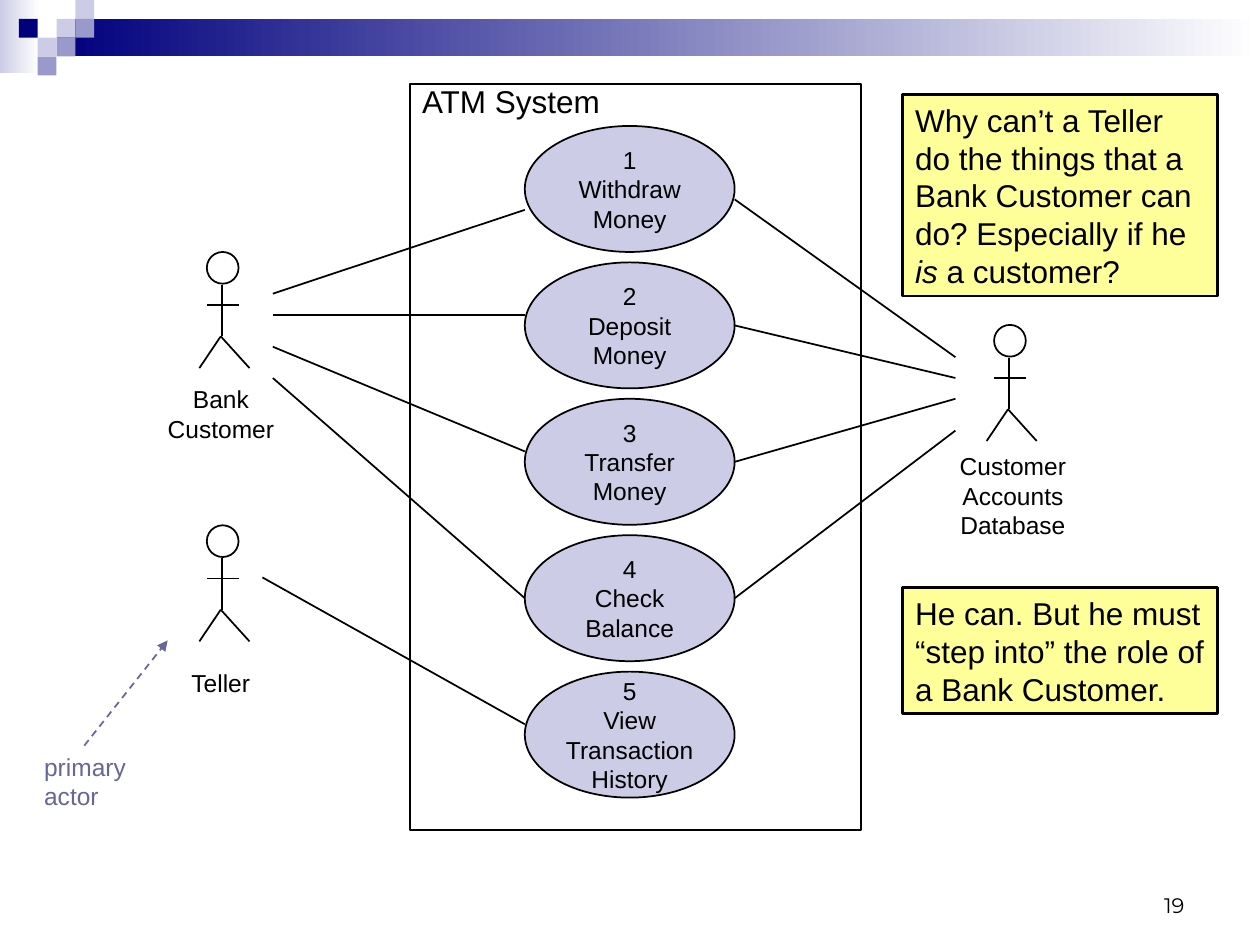
"""Builds a use case diagram slide for a cash machine system."""
from pptx import Presentation
from pptx.dml.color import RGBColor
from pptx.enum.dml import MSO_LINE_DASH_STYLE as Dash
from pptx.enum.shapes import MSO_CONNECTOR as Link, MSO_SHAPE as Preset
from pptx.enum.text import MSO_ANCHOR as Anchor, PP_ALIGN as Align
from pptx.oxml.ns import qn
from pptx.util import Cm, Pt
from lxml.etree import SubElement

BLACK, NAVY, LILAC, VIOLET = "000000", "00007D", "CCCCE6", "9999CC"
SLATE, YELLOW, WHITE = "666699", "FFFF99", "FFFFFF"

BANDS = [((0, 0, 0.79, 1.47), LILAC), ((1.14, 0.38, 24.26, 0.76), NAVY)]
TILE = 0.38
TILES = [(3, 1, LILAC), (4, 0, LILAC), (4, 1, VIOLET), (2, 2, LILAC),
         (1, 1, NAVY), (3, 2, VIOLET), (2, 3, VIOLET)]

USE_CASES = ["1\nWithdraw\nMoney", "2\nDeposit\nMoney", "3\nTransfer\nMoney",
             "4\nCheck\nBalance", "5\nView\nTransaction\nHistory"]
CASE_LEFT, CASE_TOP, CASE_WIDTH, CASE_HEIGHT, CASE_STEP = 10.58, 2.54, 4.23, 2.54, 2.75
CASE_RIGHT = CASE_LEFT + CASE_WIDTH
SYSTEM = (8.26, 1.7, 9.1, 15.03)

ACTORS = [
    ((4.17, 5.08), "Bank Customer", (2.97, 7.62, 2.97, 1.45), Align.CENTER),
    ((20.04, 6.55), "Customer Accounts Database", (19.05, 8.97, 2.74, 2.03), Align.CENTER),
    ((4.17, 10.59), "Teller", (3.61, 13.34, 1.9, 0.86), Align.LEFT),
]
HEAD = 0.64
LIMBS = [(0.3, 0.66, 0.3, 1.7), (0.28, 1.7, 0.86, 2.34),
         (0.28, 1.7, -0.15, 2.34), (0, 1.07, HEAD, 1.07)]

CUSTOMER_X, DATABASE_X = 5.5, 19.26
CUSTOMER_LINKS = [(5.92, 4.23), (6.35, 6.35), (6.99, 9.1), (7.62, 12.06)]
DATABASE_LINKS = [(4.02, 7.2), (6.56, 7.62), (9.31, 8.04), (12.06, 8.68)]
TELLER_LINK = (5.29, 11.64, CASE_LEFT, 14.6)
PRIMARY_ARROW = (1.7, 15.03, 3.38, 12.91)

NOTES = [
    ((18.2, 1.91, 6.35, 4.06),
     [("Why can’t a Teller do the things that a Bank Customer can do? Especially if he ", False),
      ("is", True), (" a customer?", False)]),
    ((18.2, 11.85, 6.35, 2.54),
     [("He can. But he must “step into” the role of a Bank Customer.", False)]),
]

LABEL = {"size": Pt(14), "name": "Arial"}
HEADING = {"size": Pt(18), "name": "Arial"}
PAGE = {"size": Pt(12), "name": "Montserrat"}


def rgb(code):
    return RGBColor.from_string(code)


def apply(target, values):
    for key, value in values.items():
        setattr(target, key, value)


def draw(slide, preset, box, fill=None, outline=None, width=1):
    part = slide.shapes.add_shape(preset, *map(Cm, box))
    part.shadow.inherit = False
    if fill:
        part.fill.solid()
        part.fill.fore_color.rgb = rgb(fill)
    else:
        part.fill.background()
    if outline:
        part.line.color.rgb = rgb(outline)
        part.line.width = Pt(width)
    else:
        part.line.fill.background()
    return part


def connect(slide, ends, color=BLACK):
    link = slide.shapes.add_connector(Link.STRAIGHT, *map(Cm, ends))
    link.line.color.rgb = rgb(color)
    link.line.width = Pt(1)
    SubElement(link._element.spPr, qn("a:effectLst"))
    return link


def write(part, runs, font, color=BLACK, align=Align.LEFT, anchor=Anchor.TOP, wrap=True):
    frame = part.text_frame
    apply(frame, {"word_wrap": wrap, "vertical_anchor": anchor})
    paragraph = frame.paragraphs[0]
    for text, italic in runs:
        for index, line in enumerate(text.split("\n")):
            if index:
                paragraph = frame.add_paragraph()
            paragraph.alignment = align
            run = paragraph.add_run()
            run.text = line
            apply(run.font, {**font, "italic": italic})
            run.font.color.rgb = rgb(color)


def label(slide, box, text, font, **layout):
    write(slide.shapes.add_textbox(*map(Cm, box)), [(text, False)], font, **layout)


def draw_banner(slide):
    for box, color in BANDS:
        band = draw(slide, Preset.RECTANGLE, box)
        band.fill.gradient()
        band.fill.gradient_angle = 0
        for stop, shade in zip(band.fill.gradient_stops, (color, WHITE)):
            stop.color.rgb = rgb(shade)
    for column, row, color in TILES:
        draw(slide, Preset.RECTANGLE, (column * TILE, row * TILE, TILE, TILE), color)


def draw_system(slide):
    for index, name in enumerate(USE_CASES):
        box = (CASE_LEFT, CASE_TOP + index * CASE_STEP, CASE_WIDTH, CASE_HEIGHT)
        case = draw(slide, Preset.OVAL, box, LILAC, BLACK)
        write(case, [(name, False)], LABEL, align=Align.CENTER, anchor=Anchor.MIDDLE, wrap=False)
    draw(slide, Preset.RECTANGLE, SYSTEM, outline=BLACK)
    label(slide, (8.26, 1.52, 4.23, 1.02), "ATM System", HEADING)


def draw_actors(slide):
    for (left, top), name, box, align in ACTORS:
        draw(slide, Preset.OVAL, (left, top, HEAD, HEAD), outline=BLACK)
        for x1, y1, x2, y2 in LIMBS:
            connect(slide, (left + x1, top + y1, left + x2, top + y2))
        label(slide, box, name, LABEL, align=align)


def draw_links(slide):
    for start, end in CUSTOMER_LINKS:
        connect(slide, (CUSTOMER_X, start, CASE_LEFT, end))
    for start, end in DATABASE_LINKS:
        connect(slide, (CASE_RIGHT, start, DATABASE_X, end))
    connect(slide, TELLER_LINK)


def draw_remarks(slide):
    label(slide, (0.64, 15.03, 3.3, 1.45), "primary actor", LABEL, color=SLATE)
    arrow = connect(slide, PRIMARY_ARROW, SLATE)
    arrow.line.dash_style = Dash.DASH
    SubElement(arrow.line._get_or_add_ln(), qn("a:tailEnd"), type="triangle")
    for box, runs in NOTES:
        write(draw(slide, Preset.RECTANGLE, box, YELLOW, BLACK, 1.5), runs, HEADING)
    label(slide, (18.2, 17.36, 5.93, 1.27), "19", PAGE, align=Align.RIGHT, anchor=Anchor.BOTTOM)


def main():
    deck = Presentation()
    apply(deck, {"slide_width": Cm(25.4), "slide_height": Cm(19.05)})
    slide = deck.slides.add_slide(deck.slide_layouts[6])
    for step in (draw_banner, draw_system, draw_actors, draw_links, draw_remarks):
        step(slide)
    deck.save("out.pptx")


if __name__ == "__main__":
    main()
